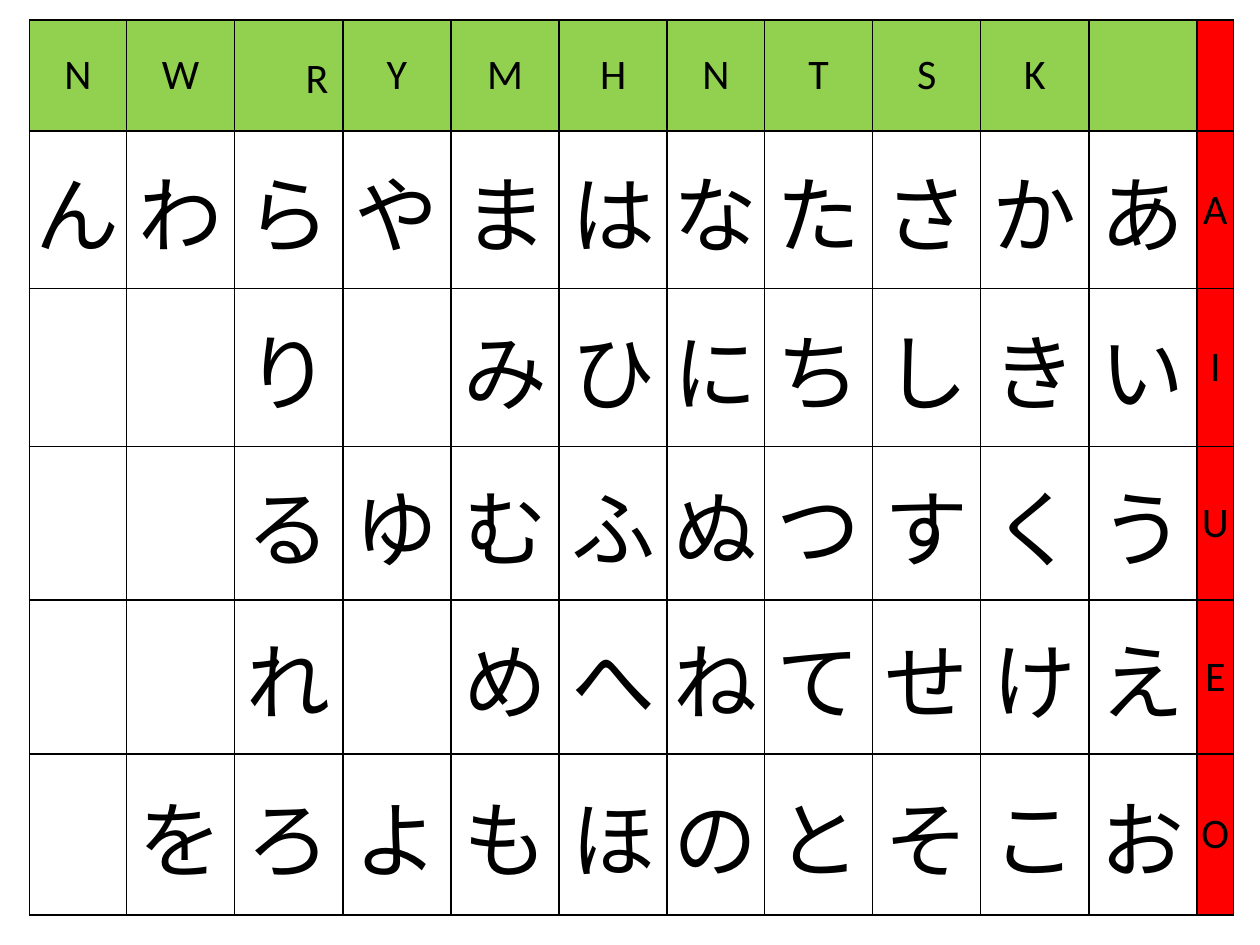
from dataclasses import dataclass

from lxml import etree
from pptx import Presentation
from pptx.dml.color import RGBColor
from pptx.enum.text import MSO_ANCHOR, PP_ALIGN
from pptx.oxml.ns import qn
from pptx.util import Cm, Pt

CENTER, LEFT = PP_ALIGN.CENTER, PP_ALIGN.LEFT
MIDDLE = MSO_ANCHOR.MIDDLE


@dataclass(frozen=True)
class Theme:
    ink: str = "000000"
    consonant_fill: str = "92D050"
    vowel_fill: str = "FF0000"
    kana_fill: str = "FFFFFF"
    label_font: str = "Calibri"
    kana_font: str = "Roboto"
    label_size: int = 24
    kana_size: int = 48
    border: int = 1


THEME = Theme()

# One character per column; "-" marks an empty cell.
CONSONANTS = "NWRYMHNTSK-"
VOWELS = "AIUEO"
KANA_ROWS = [
    "んわらやまはなたさかあ",
    "--り-みひにちしきい",
    "--るゆむふぬつすくう",
    "--れ-めへねてせけえ",
    "-をろよもほのとそこお",
]
GRID = [CONSONANTS + "-"] + [k + v for k, v in zip(KANA_ROWS, VOWELS)]

NARROW, WIDE, VOWEL_WIDTH = 1.96, 2.18, 0.74
NARROW_COLS = (0, 6)
VOWEL_COL = len(CONSONANTS)
COL_WIDTHS = [NARROW if c in NARROW_COLS else WIDE for c in range(VOWEL_COL)] + [VOWEL_WIDTH]
ROW_HEIGHTS = [2.24, 3.18, 3.18, 3.1, 3.1, 3.25]


def set_borders(cell):
    tc_pr = cell._tc.get_or_add_tcPr()
    for side in ("lnL", "lnR", "lnT", "lnB"):
        ln = etree.SubElement(tc_pr, qn(f"a:{side}"), w=str(Pt(THEME.border)))
        fill = etree.SubElement(ln, qn("a:solidFill"))
        etree.SubElement(fill, qn("a:srgbClr"), val=THEME.ink)


def format_cell(cell, text, fill, font, size):
    set_borders(cell)
    cell.fill.solid()
    cell.fill.fore_color.rgb = RGBColor.from_string(fill)
    cell.margin_left = cell.margin_right = cell.margin_top = cell.margin_bottom = 0
    cell.vertical_anchor = MIDDLE
    if text == "-":
        return
    cell.text = text
    p = cell.text_frame.paragraphs[0]
    p.alignment = CENTER
    r = p.runs[0]
    r.font.name = font
    r.font.size = Pt(size)
    r.font.color.rgb = RGBColor.from_string(THEME.ink)


def add_kana_table(slide, left, top):
    shape = slide.shapes.add_table(len(ROW_HEIGHTS), len(COL_WIDTHS), Cm(left), Cm(top),
                                   Cm(sum(COL_WIDTHS)), Cm(sum(ROW_HEIGHTS)))
    table = shape.table
    table.first_row = table.horz_banding = False
    for column, width in zip(table.columns, COL_WIDTHS):
        column.width = Cm(width)
    for row, height in zip(table.rows, ROW_HEIGHTS):
        row.height = Cm(height)

    label_style = (THEME.label_font, THEME.label_size)
    kana_style = (THEME.kana_font, THEME.kana_size)
    for i, texts in enumerate(GRID):
        for j, text in enumerate(texts):
            if j == VOWEL_COL:
                fill, style = THEME.vowel_fill, label_style
            elif i == 0:
                fill, style = THEME.consonant_fill, label_style
            else:
                fill, style = THEME.kana_fill, kana_style
            format_cell(table.cell(i, j), text, fill, *style)

    # The R heading sits low and to the right in its cell.
    r_cell = table.cell(0, CONSONANTS.index("R"))
    r_cell.text_frame.paragraphs[0].alignment = LEFT
    r_cell.margin_left = Cm(1.43)
    r_cell.margin_top = Cm(0.16)


def main():
    prs = Presentation()
    prs.slide_width, prs.slide_height = Cm(25.4), Cm(19.05)
    slide = prs.slides.add_slide(prs.slide_layouts[6])
    add_kana_table(slide, left=0.59, top=0.4)
    prs.save("out.pptx")


if __name__ == "__main__":
    main()
